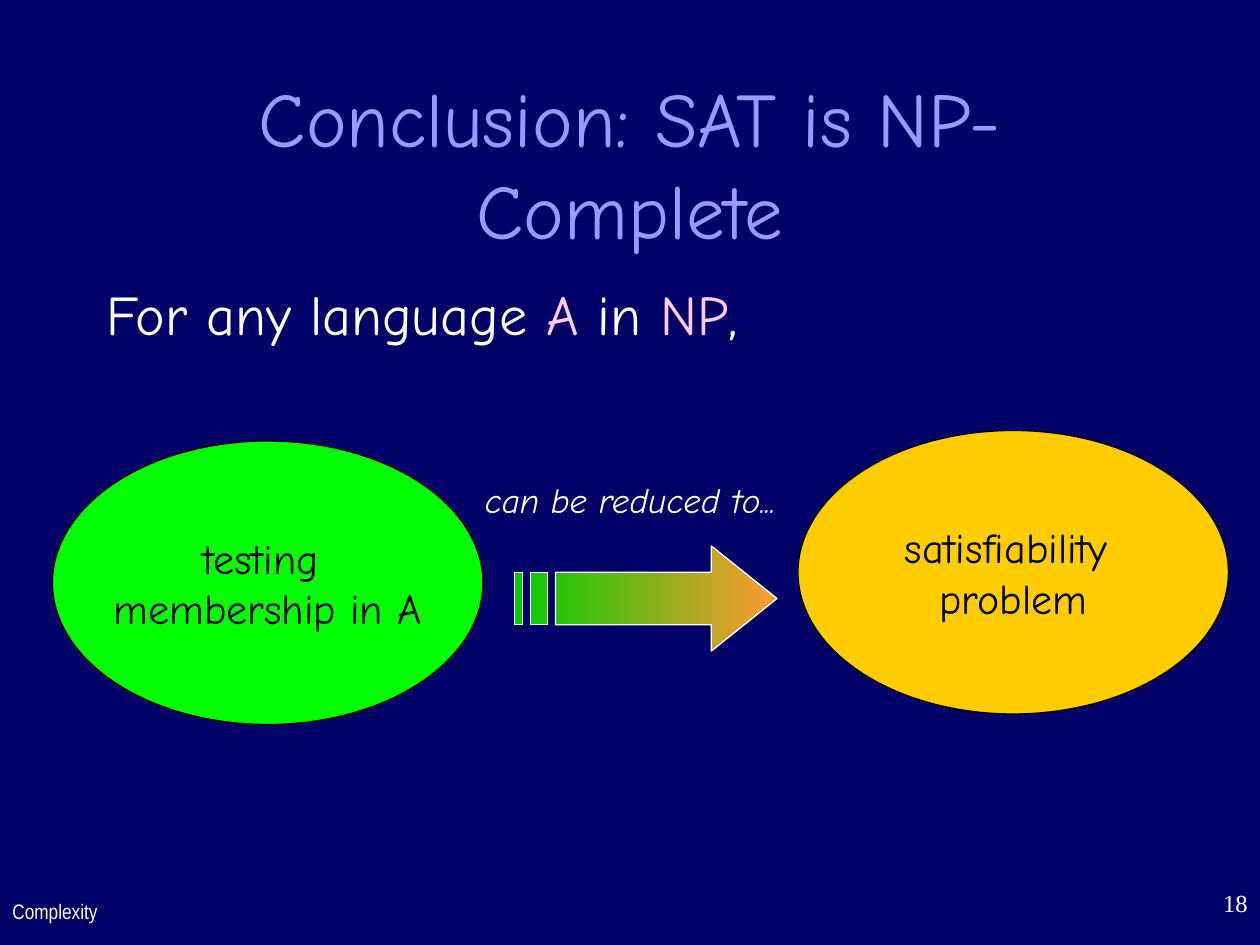
from pptx import Presentation
from pptx.dml.color import RGBColor
from pptx.enum.shapes import MSO_SHAPE
from pptx.enum.text import MSO_ANCHOR, PP_ALIGN
from pptx.util import Pt

PX = 9525
OVAL = MSO_SHAPE.OVAL
TOP, MIDDLE = MSO_ANCHOR.TOP, MSO_ANCHOR.MIDDLE
LEFT, CENTER, RIGHT = PP_ALIGN.LEFT, PP_ALIGN.CENTER, PP_ALIGN.RIGHT
WHITE, BLACK, NAVY = "FFFFFF", "000000", "000066"
LILAC, PINK = "9999FF", "FFCCFF"
GREEN, GOLD = "00FF00", "FFCC00"
ARROW_END, ARROW_START = "FF9933", "00CC00"


def px(*values):
    return [v * PX for v in values]


def rgb(value):
    return RGBColor.from_string(value)


class Deck:
    font = "Comic Neue"

    def __init__(self, width, height):
        self.prs = Presentation()
        self.prs.slide_width, self.prs.slide_height = px(width, height)

    def slide(self, color):
        self.s = self.prs.slides.add_slide(self.prs.slide_layouts[6])
        self.s.background.fill.solid()
        self.s.background.fill.fore_color.rgb = rgb(color)

    def fill_text(self, tf, lines, size, align=LEFT, anchor=TOP, wrap=True,
                  before=0, font=None, italic=None):
        tf.word_wrap = wrap
        tf.vertical_anchor = anchor
        for i, runs in enumerate(lines):
            p = tf.add_paragraph() if i else tf.paragraphs[0]
            p.alignment = align
            p.space_before = Pt(before)
            for text, color in runs:
                r = p.add_run()
                r.text = text
                style = {"name": font or self.font, "size": Pt(size), "italic": italic}
                for key, value in style.items():
                    setattr(r.font, key, value)
                r.font.color.rgb = rgb(color)

    def text(self, box, runs, size, **style):
        sp = self.s.shapes.add_textbox(*px(*box))
        self.fill_text(sp.text_frame, [runs], size, **style)

    def outline(self, sp, color):
        sp.shadow.inherit = False
        sp.line.color.rgb = rgb(color)
        sp.line.width = Pt(0.75)

    def ellipse(self, box, color, lines):
        sp = self.s.shapes.add_shape(OVAL, *px(*box))
        self.outline(sp, BLACK)
        sp.fill.solid()
        sp.fill.fore_color.rgb = rgb(color)
        self.fill_text(sp.text_frame, [[(line, BLACK)] for line in lines], 24,
                       align=CENTER, anchor=MIDDLE, wrap=False)

    def striped_arrow(self, box, colors):
        left, top, width, height = px(*box)
        head = [(5, 1), (24, 1), (24, 0), (32, 2), (24, 4), (24, 3), (5, 3)]
        stripes = [[(a, 1), (b, 1), (b, 3), (a, 3)] for a, b in ((0, 1), (2, 4))]
        fb = self.s.shapes.build_freeform(*head[0], scale=(width / 32, height / 4))
        fb.add_line_segments(head[1:])
        for stripe in stripes:
            fb.move_to(*stripe[0])
            fb.add_line_segments(stripe[1:])
        sp = fb.convert_to_shape(left, top)
        self.outline(sp, WHITE)
        sp.fill.gradient()
        sp.fill.gradient_angle = 180
        for stop, color in zip(sp.fill.gradient_stops, colors):
            stop.color.rgb = rgb(color)


def main():
    deck = Deck(960, 720)
    deck.slide(NAVY)
    deck.text((72, 64, 816, 120), [("Conclusion: SAT is NP-Complete", LILAC)], 44,
              align=CENTER, anchor=MIDDLE)
    deck.text((72, 208, 816, 72),
              [("For any language ", WHITE), ("A", PINK), (" in ", WHITE),
               ("NP", PINK), (",", WHITE)], 32, before=8)
    deck.ellipse((40, 336, 328, 216), GREEN, ["testing ", "membership in A"])
    deck.striped_arrow((392, 416, 200, 80), (ARROW_END, ARROW_START))
    deck.text((360, 360, 280, 42), [("can be reduced to...", WHITE)], 20,
              before=12.5, italic=True)
    deck.ellipse((608, 328, 328, 216), GOLD, ["satisfiability ", "problem"])
    deck.text((0, 680, 112, 40), [("Complexity", WHITE)], 12, font="Arial Narrow")
    deck.text((760, 672, 200, 48), [("18", WHITE)], 14, align=RIGHT,
              font="Times New Roman")
    deck.prs.save("out.pptx")


if __name__ == "__main__":
    main()
